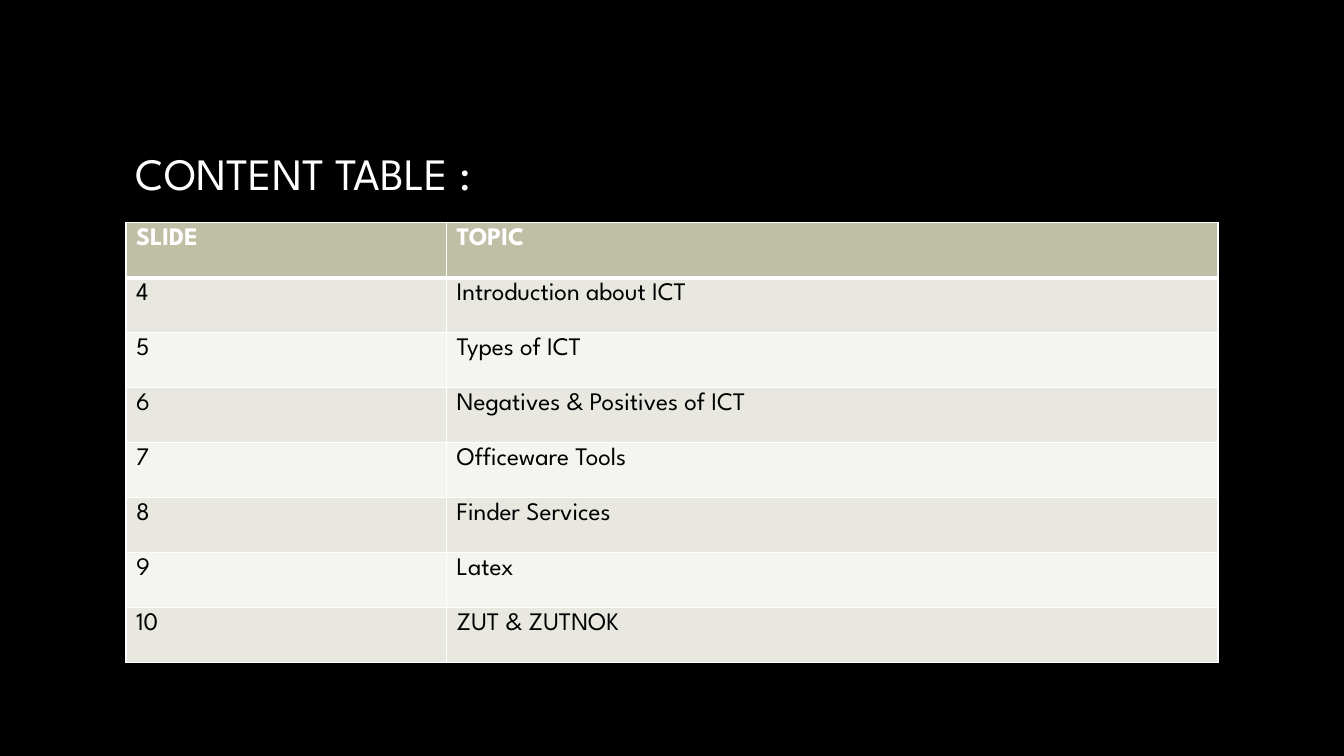
from lxml import etree
from pptx import Presentation
from pptx.dml.color import RGBColor
from pptx.enum.text import MSO_ANCHOR
from pptx.oxml import parse_xml
from pptx.oxml.ns import nsdecls
from pptx.util import Pt

TITLE = "CONTENT TABLE :"
ROWS = [
    ("SLIDE", "TOPIC"),
    ("4", "Introduction about ICT"),
    ("5", "Types of ICT"),
    ("6", "Negatives & Positives of ICT"),
    ("7", "Officeware Tools"),
    ("8", "Finder Services"),
    ("9", "Latex"),
    ("10", "ZUT & ZUTNOK"),
]
COLORS = {
    "background": "000000",
    "light": "FFFFFF",
    "dark": "000000",
    "header": "BFBFA5",
    "odd": "E8E8E1",
    "even": "F4F4F0",
}
FONT = "League Spartan"
MIDDLE = MSO_ANCHOR.MIDDLE
LEFT, WIDTH = 90, 780
TITLE_TOP, TITLE_HEIGHT = 48, 150
TABLE_TOP, ROW_HEIGHT = 159.12, 39.3
COLUMN_WIDTHS = (229, 551)
THIN, THICK = 1, 3


def rgb(name):
    """Return the named colour."""
    return RGBColor.from_string(COLORS[name])


def write(tf, text, size=18, color="dark", bold=False):
    """Put formatted text in a frame and return its run."""
    r = tf.paragraphs[0].add_run()
    r.text = text
    r.font.name = FONT
    r.font.size = Pt(size)
    r.font.bold = bold
    r.font.color.rgb = rgb(color)
    return r


def add_shadow(r):
    """Give a run a soft shadow."""
    effects = parse_xml(
        f'<a:effectLst {nsdecls("a")}>'
        '<a:outerShdw blurRad="50800" dist="38100" dir="2700000">'
        '<a:srgbClr val="000000"><a:alpha val="48000"/></a:srgbClr>'
        '</a:outerShdw></a:effectLst>')
    r._r.get_or_add_rPr().find("{*}solidFill").addnext(effects)


def add_borders(cell, top, bottom):
    """Draw the four borders of a cell."""
    tc_pr = cell._tc.get_or_add_tcPr()
    widths = {"lnL": THIN, "lnR": THIN, "lnT": top, "lnB": bottom}
    for i, (tag, width) in enumerate(widths.items()):
        line = parse_xml(f'<a:{tag} {nsdecls("a")} w="{Pt(width)}"/>')
        fill = etree.SubElement(line, line.tag.replace(tag, "solidFill"))
        etree.SubElement(fill, line.tag.replace(tag, "srgbClr"), val=COLORS["light"])
        tc_pr.insert(i, line)


def add_title(s):
    """Add the slide title."""
    tf = s.shapes.add_textbox(
        Pt(LEFT), Pt(TITLE_TOP), Pt(WIDTH), Pt(TITLE_HEIGHT)).text_frame
    tf.word_wrap = True
    tf.vertical_anchor = MIDDLE
    add_shadow(write(tf, TITLE, size=32, color="light"))


def add_contents(s):
    """Add the table of slides and topics."""
    table = s.shapes.add_table(
        len(ROWS), len(COLUMN_WIDTHS), Pt(LEFT), Pt(TABLE_TOP),
        Pt(WIDTH), Pt(ROW_HEIGHT * len(ROWS))).table
    for column, width in zip(table.columns, COLUMN_WIDTHS):
        column.width = Pt(width)
    for i, texts in enumerate(ROWS):
        table.rows[i].height = Pt(ROW_HEIGHT)
        header = i == 0
        band = "header" if header else "odd" if i % 2 else "even"
        for j, text in enumerate(texts):
            cell = table.cell(i, j)
            cell.fill.solid()
            cell.fill.fore_color.rgb = rgb(band)
            add_borders(cell, top=THICK if i == 1 else THIN,
                        bottom=THICK if header else THIN)
            write(cell.text_frame, text, bold=header,
                  color="light" if header else "dark")


def main():
    """Build the slide and save it."""
    prs = Presentation()
    prs.slide_width, prs.slide_height = Pt(960), Pt(540)
    s = prs.slides.add_slide(prs.slide_layouts[6])
    s.background.fill.solid()
    s.background.fill.fore_color.rgb = rgb("background")
    add_title(s)
    add_contents(s)
    prs.save("out.pptx")


if __name__ == "__main__":
    main()
